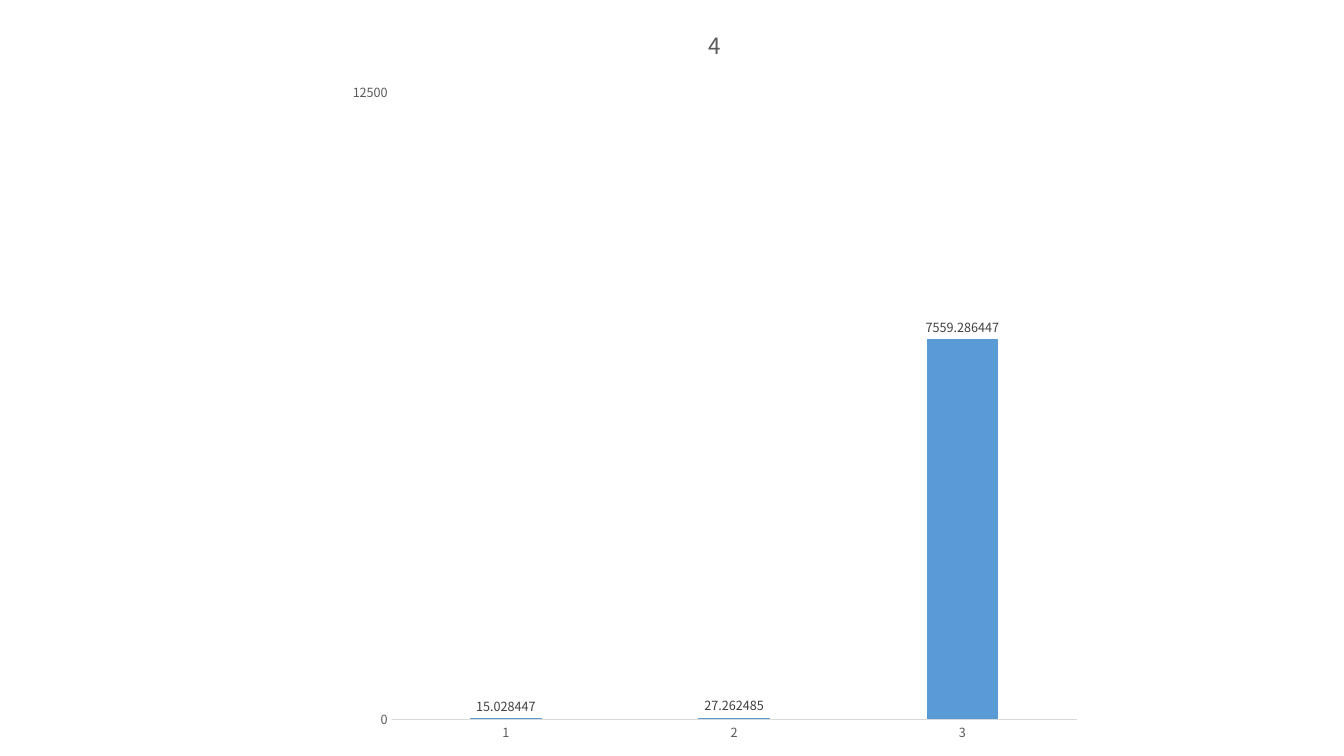
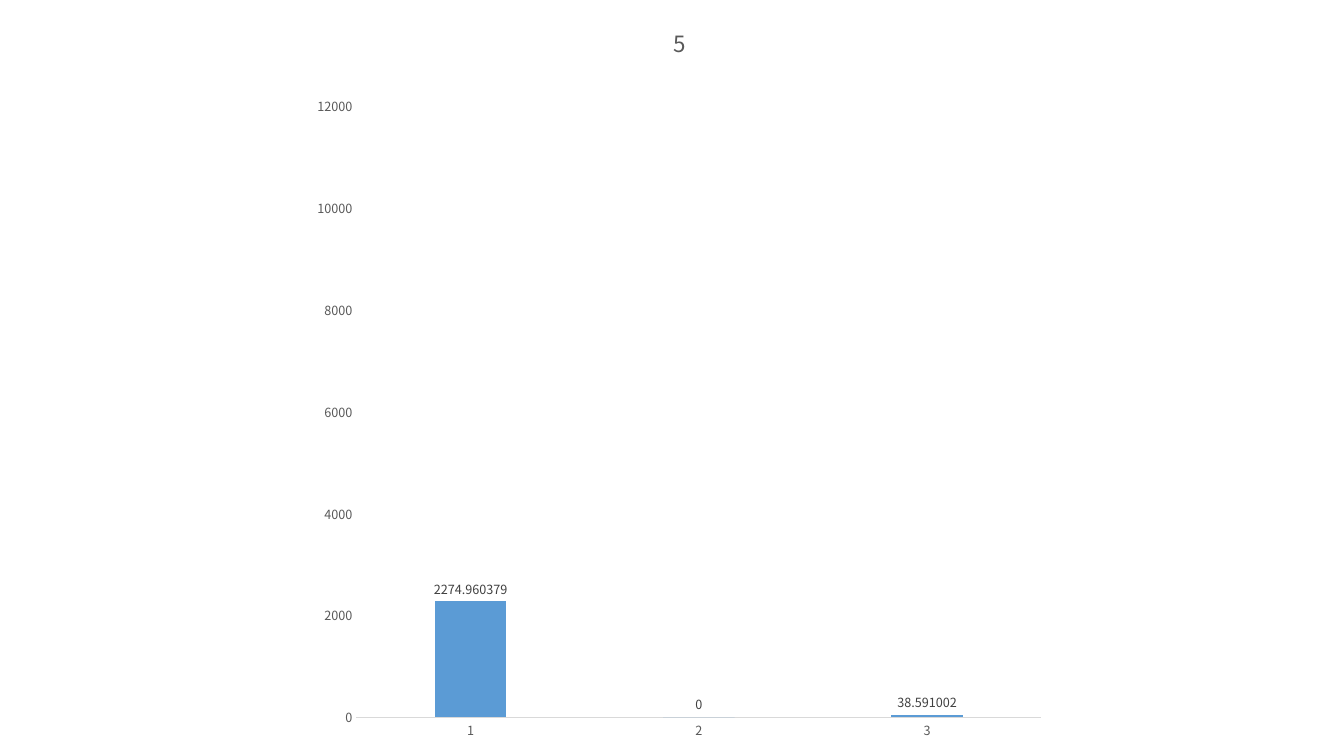
from pptx import Presentation
from pptx.chart.data import CategoryChartData
from pptx.dml.color import RGBColor
from pptx.enum.chart import XL_CHART_TYPE as ChartType, XL_LABEL_POSITION as LabelPosition, XL_TICK_MARK as TickMark
from pptx.util import Pt

FONT = "Noto Sans CJK JP"
BLACK, GREY, DARK, PALE, BLUE = "000000", "595959", "404040", "D9D9D9", "5B9BD5"
SIDE = 538.56
TOP_VALUE = 12500
CATEGORIES = ("1", "2", "3")
CHARTS = [
    {"title": "4", "left": 241.2, "top": 1.44, "step": 12500,
     "values": (15.028447, 27.262485, 7559.286447)},
    {"title": "5", "left": 216, "top": 0, "step": 2000,
     "values": (2274.960379, 0, 38.591002)},
]


def color(value):
    return RGBColor.from_string(value)


def style_font(font, size, value):
    font.name = FONT
    font.size = Pt(size)
    font.bold = False
    font.color.rgb = color(value)


def style_axis(axis):
    axis.has_major_gridlines = False
    axis.major_tick_mark = axis.minor_tick_mark = TickMark.NONE
    style_font(axis.tick_labels.font, 9, GREY)


def add_title(chart, text):
    chart.has_title = True
    chart.chart_title.include_in_layout = False
    para = chart.chart_title.text_frame.paragraphs[0]
    span = para.add_run()
    span.text = text
    style_font(span.font, 16, GREY)


def add_columns(page, title, left, top, step, values):
    data = CategoryChartData()
    data.categories = CATEGORIES
    data.add_series("Series 1", values)
    chart = page.shapes.add_chart(ChartType.COLUMN_CLUSTERED, Pt(left), Pt(top),
                                  Pt(SIDE), Pt(SIDE), data).chart
    style_font(chart.font, 10, BLACK)
    chart.has_legend = False
    add_title(chart, title)

    category_axis, value_axis = chart.category_axis, chart.value_axis
    style_axis(category_axis)
    category_axis.format.line.color.rgb = color(PALE)
    category_axis.format.line.width = Pt(0.75)
    style_axis(value_axis)
    value_axis.format.line.fill.background()
    value_axis.minimum_scale = 0
    value_axis.maximum_scale = TOP_VALUE
    value_axis.major_unit = step

    plot = chart.plots[0]
    plot.gap_width = 219
    plot.overlap = -27
    plot.vary_by_categories = False
    columns = plot.series[0]
    columns.format.fill.solid()
    columns.format.fill.fore_color.rgb = color(BLUE)
    labels = columns.data_labels
    labels.show_value = True
    labels.position = LabelPosition.OUTSIDE_END
    style_font(labels.font, 9, DARK)


deck = Presentation()
deck.slide_width, deck.slide_height = Pt(960), Pt(540)
for content in CHARTS:
    page = deck.slides.add_slide(deck.slide_layouts[6])
    add_columns(page, **content)
deck.save("out.pptx")
